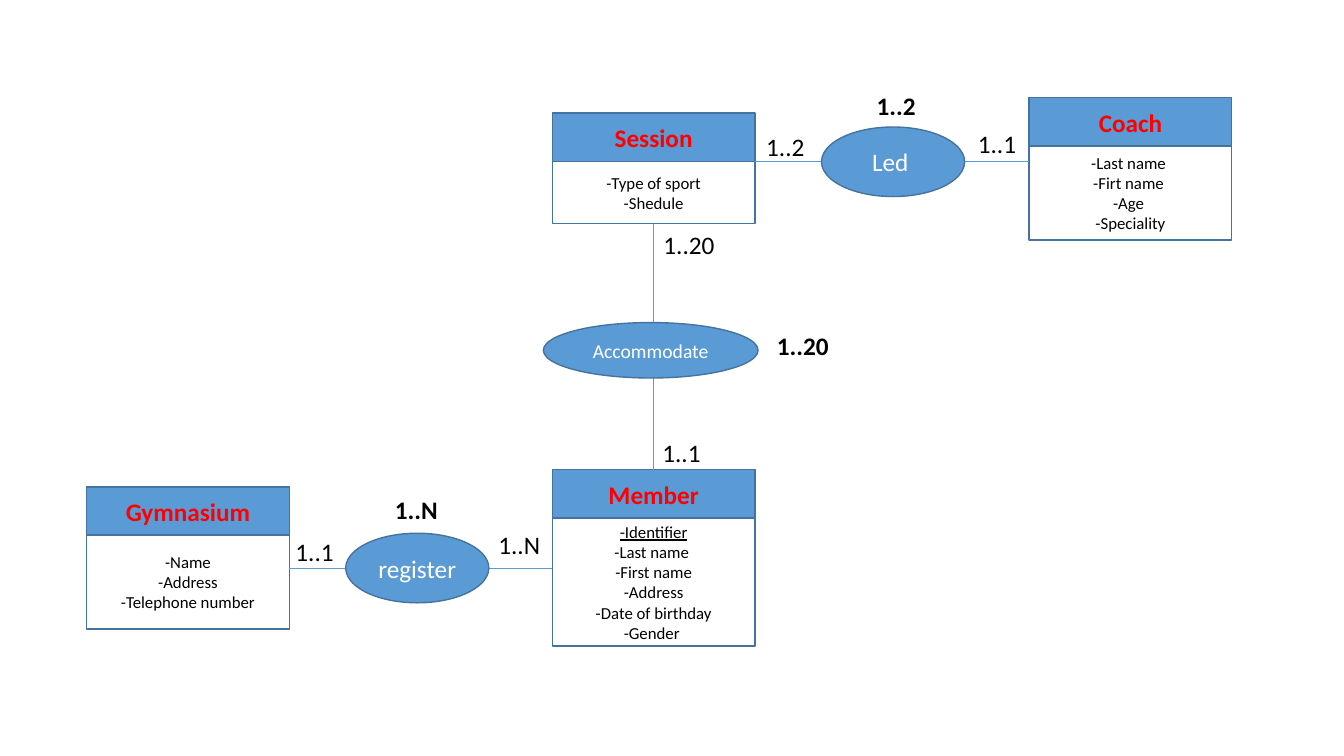
"""Draw the entity-relationship diagram of a gymnasium."""
from lxml import etree
from pptx import Presentation, util as u
from pptx.dml.color import RGBColor
from pptx.enum import shapes as s, text as t
from pptx.oxml.ns import qn

COLS, ROWS = 133.33, 75
WIDE, HEAD = 20.1, 4.8
HUES = {"blue": "5B9BD5", "edge": "43739E", "white": "FFFFFF",
        "black": "000000", "red": "FF0000"}

TABLES = {
    "Member": (54.8, 46.6, 12.7, ["-Identifier", "-Last name ", "-First name",
                                  "-Address", "-Date of birthday", "-Gender "]),
    "Session": (54.8, 11.2, 6.2, ["-Type of sport", "-Shedule"]),
    "Gymnasium": (8.6, 48.3, 9.3, ["-Name", "-Address", "-Telephone number"]),
    "Coach": (102.1, 9.7, 9.3, ["-Last name ", "-Firt name ", "-Age ", "-Speciality"]),
}
KEYS = {"-Identifier"}
LINKS = [("Gymnasium", "Member", 56.4), ("Session", "Coach", 16)]
OVALS = [("Accommodate", 64.55, 34.75, 21.3, 5.5, 14),
         ("Led ", 88.6, 16.05, 14.2, 6.9, 18),
         ("register", 41.4, 56.35, 14.2, 6.9, 18)]
LABELS = [("1..1", 31.2, 54.7, False), ("1..N", 51.5, 54, False),
          ("1..20", 68.35, 24.3, False), ("1..1", 67.6, 44.9, False),
          ("1..2", 77.9, 14.5, False), ("1..1", 98.9, 14.2, False),
          ("1..2", 88.9, 10.5, True), ("1..20", 79.65, 34.3, True),
          ("1..N", 41.3, 50.5, True)]

deck = Presentation()
deck.slide_width, deck.slide_height = u.Inches(13.33), u.Inches(7.5)
slide = deck.slides.add_slide(deck.slide_layouts[6])


def place(x, y, w=0, h=0):
    """Turn grid columns and rows into slide lengths."""
    dx, dy = deck.slide_width / COLS, deck.slide_height / ROWS
    return [u.Emu(round(n)) for n in (x * dx, y * dy, w * dx, h * dy)]


def hue(name):
    """Look up a colour by name."""
    return RGBColor.from_string(HUES[name])


def write(shape, lines, ink, size, bold=False):
    """Fill a shape with centred lines of text."""
    frame = shape.text_frame
    frame.word_wrap = True
    frame.text = "\n".join(lines)
    for line, para in zip(lines, frame.paragraphs):
        para.alignment = t.PP_ALIGN.CENTER
        look = {"name": "Calibri", "size": u.Pt(size), "bold": bold,
                "underline": line in KEYS}
        for key, val in look.items():
            setattr(para.runs[0].font, key, val)
        para.runs[0].font.color.rgb = hue(ink)


def draw(kind, spot, fill, *words):
    """Add a filled, outlined shape with text."""
    shape = slide.shapes.add_shape(kind, *place(*spot))
    shape.shadow.inherit = False
    shape.fill.solid()
    shape.fill.fore_color.rgb = hue(fill)
    shape.line.color.rgb = hue("edge")
    shape.line.width = u.Pt(1)
    shape.text_frame.vertical_anchor = t.MSO_ANCHOR.MIDDLE
    write(shape, *words)
    return shape


def link(x1, y1, x2, y2):
    """Add a thin straight line."""
    line = slide.shapes.add_connector(s.MSO_CONNECTOR.STRAIGHT,
                                      *place(x1, y1)[:2], *place(x2, y2)[:2])
    line.line.color.rgb = hue("blue")
    line.line.width = u.Pt(0.5)
    etree.SubElement(line._element.spPr, qn("a:effectLst"))
    return line


heads, bodies = {}, {}
for name, (x, y, tall, rows) in TABLES.items():
    box = s.MSO_SHAPE.RECTANGLE
    heads[name] = draw(box, (x, y, WIDE, HEAD), "blue", [name], "red", 18, True)
    bodies[name] = draw(box, (x, y + HEAD, WIDE, tall), "white", rows, "black", 12)

for left, right, y in LINKS:
    link(TABLES[left][0] + WIDE, y, TABLES[right][0], y)
stem = link(0, 0, 0, 0)
stem.begin_connect(bodies["Session"], 2)
stem.end_connect(heads["Member"], 0)

for name, x, y, w, h, size in OVALS:
    draw(s.MSO_SHAPE.OVAL, (x - w / 2, y - h / 2, w, h), "blue", [name], "white", size)

for name, x, y, bold in LABELS:
    w, h = 2.1 * len(name) - 1.6, 4
    note = slide.shapes.add_textbox(*place(x - w / 2, y - h / 2, w, h))
    write(note, [name], "black", 18, bold)

deck.save("out.pptx")
